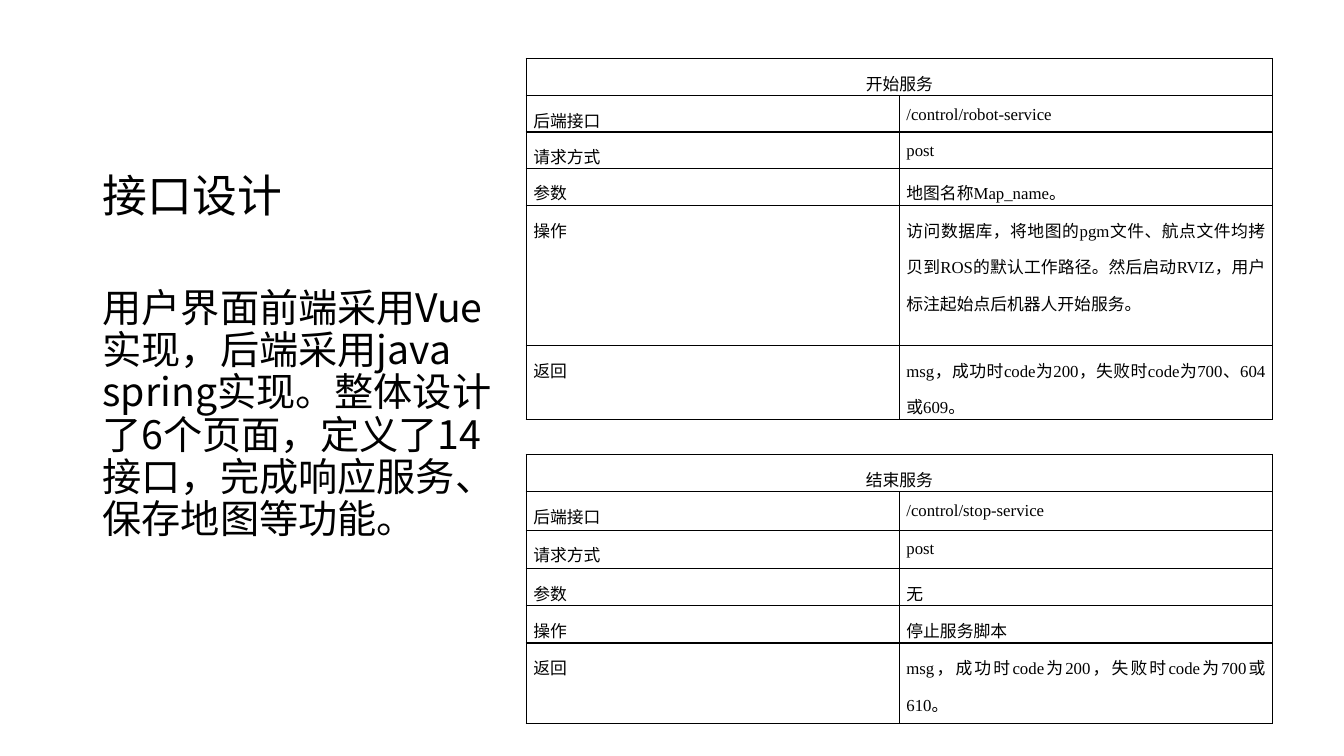
from pptx import Presentation
from pptx.dml.color import RGBColor
from pptx.enum import text
from pptx.oxml import parse_xml
from pptx.oxml.ns import nsdecls
from pptx.util import Inches, Pt

COLORS = {"ink": "000000"}
SANS, SERIF = "Noto Sans CJK SC", "Times New Roman"
TITLE = "接口设计"
BODY = "用户界面前端采用Vue实现，后端采用java spring实现。整体设计了6个页面，定义了14接口，完成响应服务、保存地图等功能。"
LABELS = ["后端接口", "请求方式", "参数", "操作", "返回"]
SERVICES = [
    {
        "name": "开始服务",
        "top": 0.58,
        "heights": [0.37, 0.36, 0.36, 0.37, 1.39, 0.73],
        "values": [
            "/control/robot-service",
            "post",
            "地图名称Map_name。",
            "访问数据库，将地图的pgm文件、航点文件均拷贝到ROS的默认工作路径。然后启动RVIZ，用户标注起始点后机器人开始服务。",
            "msg，成功时code为200，失败时code为700、604或609。",
        ],
    },
    {
        "name": "结束服务",
        "top": 4.51,
        "heights": [0.37, 0.38, 0.38, 0.37, 0.37, 0.8],
        "values": [
            "/control/stop-service",
            "post",
            "无",
            "停止服务脚本",
            "msg，成功时code为200，失败时code为700或610。",
        ],
    },
]
TABLE_LEFT, COLUMN_WIDTH = 5.22, 3.7


def write(text_frame, words, size, font, spacing, alignment):
    text_frame.text = words
    paragraph = text_frame.paragraphs[0]
    paragraph.line_spacing = spacing
    paragraph.alignment = alignment
    run = paragraph.runs[0]
    run.font.size = Pt(size)
    run.font.name = font
    run.font.color.rgb = RGBColor.from_string(COLORS["ink"])
    run.font._element.append(parse_xml(f'<a:ea {nsdecls("a")} typeface="{SANS}"/>'))


def add_text(slide, words, top, height, size, anchor):
    shape = slide.shapes.add_textbox(Inches(0.92), Inches(top), Inches(4.3), Inches(height))
    shape.text_frame.word_wrap = True
    shape.text_frame.vertical_anchor = anchor
    write(shape.text_frame, words, size, SANS, 0.9, text.PP_ALIGN.LEFT)


def style_cell(cell):
    cell.margin_left = cell.margin_right = Inches(0.07)
    cell.margin_top = cell.margin_bottom = 0
    properties = cell._tc.get_or_add_tcPr()
    for side in ("lnL", "lnR", "lnT", "lnB"):
        properties.append(parse_xml(
            f'<a:{side} {nsdecls("a")} w="12700"><a:solidFill>'
            f'<a:srgbClr val="{COLORS["ink"]}"/></a:solidFill></a:{side}>'))
    cell.fill.background()


def add_service(slide, service):
    heights = service["heights"]
    table = slide.shapes.add_table(
        len(heights), 2, Inches(TABLE_LEFT), Inches(service["top"]),
        Inches(2 * COLUMN_WIDTH), Inches(sum(heights))).table
    table.first_row = table.horz_banding = False
    for column in table.columns:
        column.width = Inches(COLUMN_WIDTH)
    for row, height in zip(table.rows, heights):
        row.height = Inches(height)
    for cell in table.iter_cells():
        style_cell(cell)
    table.cell(0, 0).merge(table.cell(0, 1))
    write(table.cell(0, 0).text_frame, service["name"], 12, SERIF, 1.5, text.PP_ALIGN.CENTER)
    for row, pair in enumerate(zip(LABELS, service["values"]), start=1):
        for column, words in enumerate(pair):
            write(table.cell(row, column).text_frame, words, 12, SERIF, 1.5, text.PP_ALIGN.JUSTIFY)


def main():
    """Build the interface design slide."""
    presentation = Presentation()
    presentation.slide_width, presentation.slide_height = Inches(13.33), Inches(7.5)
    slide = presentation.slides.add_slide(presentation.slide_layouts[6])
    add_text(slide, TITLE, 0.5, 1.75, 32, text.MSO_ANCHOR.BOTTOM)
    add_text(slide, BODY, 2.81, 3.61, 28, text.MSO_ANCHOR.TOP)
    for service in SERVICES:
        add_service(slide, service)
    presentation.save("out.pptx")


if __name__ == "__main__":
    main()
